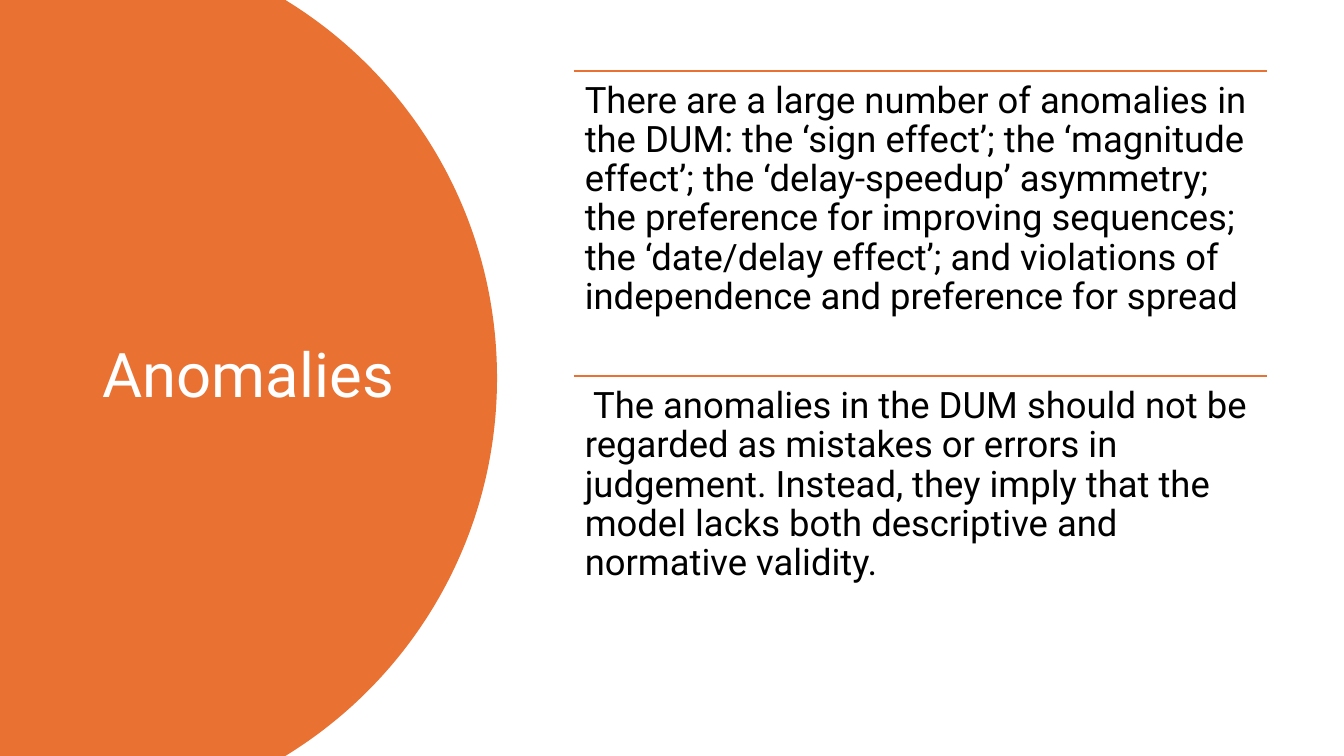
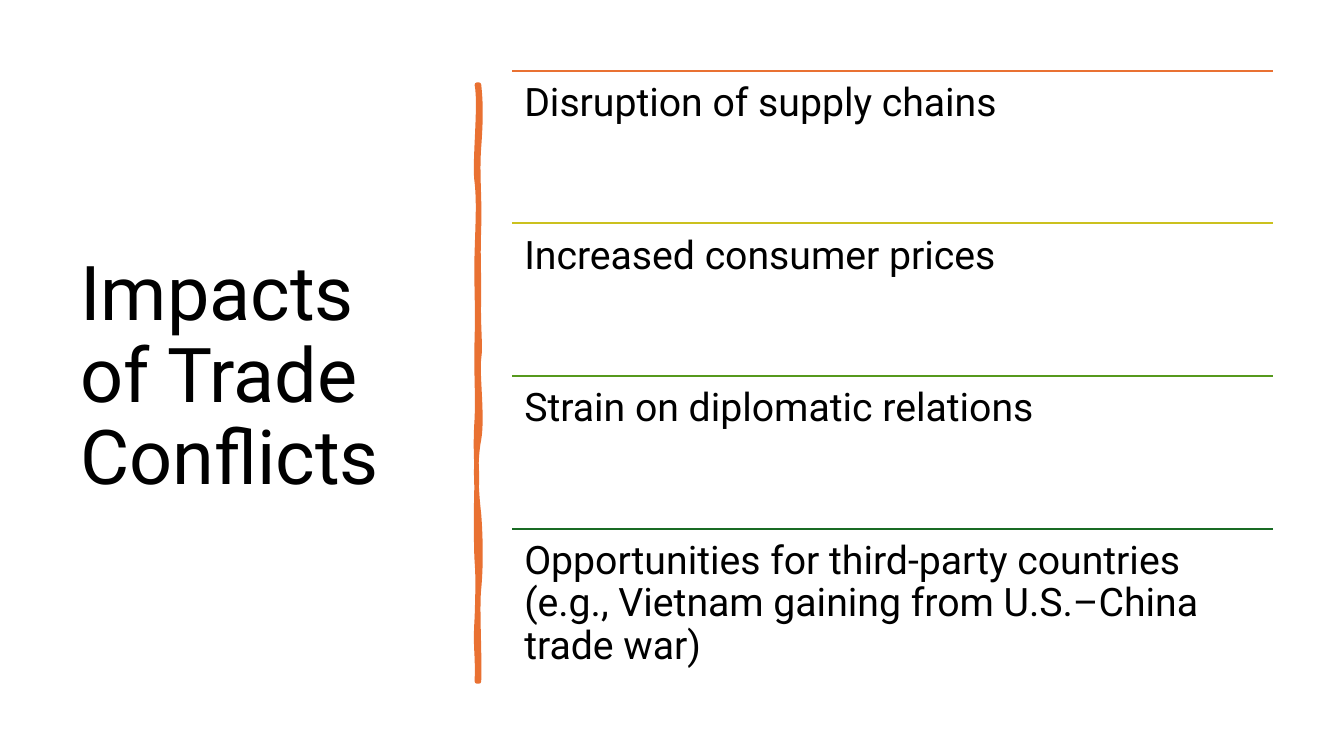
from lxml.etree import SubElement
from pptx import Presentation
from pptx.dml.color import RGBColor
from pptx.enum.shapes import MSO_CONNECTOR
from pptx.enum.text import MSO_ANCHOR
from pptx.oxml.ns import qn
from pptx.util import Inches, Pt

THEME = {
    "font": "Roboto",
    "orange": "E97132",
    "yellow": "CBC11E",
    "green": "56991D",
    "forest": "196B24",
    "black": "000000",
    "white": "FFFFFF",
    "rule_width": 1.5,
    "brush_width": 3.25,
    "line_spacing": 0.9,
}
SLIDE_SIZE = (13.33, 7.5)
ROWS_TOP, ROWS_HEIGHT = 0.7, 6.06

ANOMALIES = {
    "title": {"text": "Anomalies", "at": (0.92, 0.7, 3.23, 6.09), "size": 44, "color": "white"},
    "rows": {"left": 5.69, "width": 6.88, "size": 26, "inset": 0.11},
    "items": [
        ("orange", "There are a large number of anomalies in the DUM: the ‘sign effect’; "
                   "the ‘magnitude effect’; the ‘delay-speedup’ asymmetry; the preference for "
                   "improving sequences; the ‘date/delay effect’; and violations of "
                   "independence and preference for spread"),
        ("orange", " The anomalies in the DUM should not be regarded as mistakes or errors in "
                   "judgement. Instead, they imply that the model lacks both descriptive and "
                   "normative validity."),
    ],
}
IMPACTS = {
    "title": {"text": "Impacts of Trade Conflicts", "at": (0.7, 0.7, 3.74, 6.1),
              "size": 54, "color": "black"},
    "rows": {"left": 5.08, "width": 7.55, "size": 28, "inset": 0.12},
    "items": [
        ("orange", "Disruption of supply chains"),
        ("yellow", "Increased consumer prices"),
        ("green", "Strain on diplomatic relations"),
        ("forest", "Opportunities for third-party countries (e.g., Vietnam gaining from "
                   "U.S.–China trade war)"),
    ],
}

DISC_START = (0, 0)
DISC_SEGMENTS = [
    (2.83, 0),
    (4.09, 0.77, 4.93, 2.16, 4.93, 3.75),
    (4.93, 5.34, 4.09, 6.73, 2.83, 7.5),
    (0, 7.5),
]
BRUSH_START = (4.75, 0.84)
BRUSH_SEGMENTS = [
    (4.77, 1.02, 4.77, 1.19, 4.75, 1.46), (4.73, 1.73, 4.76, 1.95, 4.75, 2.26),
    (4.74, 2.57, 4.75, 2.62, 4.75, 2.94), (4.74, 3.25, 4.77, 3.42, 4.75, 3.56),
    (4.73, 3.7, 4.79, 4.14, 4.75, 4.36), (4.71, 4.57, 4.72, 4.84, 4.75, 5.1),
    (4.77, 5.36, 4.77, 5.64, 4.75, 5.84), (4.73, 6.03, 4.76, 6.5, 4.75, 6.76),
    (4.74, 6.76, 4.73, 6.76, 4.73, 6.76), (4.74, 6.46, 4.71, 6.44, 4.73, 6.13),
    (4.74, 5.83, 4.74, 5.7, 4.73, 5.57), (4.72, 5.44, 4.72, 4.95, 4.73, 4.77),
    (4.73, 4.59, 4.71, 4.45, 4.73, 4.15), (4.74, 3.86, 4.72, 3.73, 4.73, 3.35),
    (4.74, 2.98, 4.72, 2.81, 4.73, 2.5), (4.74, 2.18, 4.75, 2, 4.73, 1.81),
    (4.7, 1.63, 4.77, 1.04, 4.73, 0.84), (4.74, 0.84, 4.74, 0.84, 4.75, 0.84),
]


def color(name):
    return RGBColor.from_string(THEME[name])


def apply_format(target, values):
    for name, value in values.items():
        setattr(target, name, value)


def add_text(page, text, at, size, color_name, inset=None, anchor=MSO_ANCHOR.TOP):
    box = page.shapes.add_textbox(*map(Inches, at))
    frame = box.text_frame
    apply_format(frame, {"word_wrap": True, "vertical_anchor": anchor})
    if inset is not None:
        sides = ("left", "top", "right", "bottom")
        apply_format(frame, {f"margin_{side}": Inches(inset) for side in sides})
    para = frame.paragraphs[0]
    para.line_spacing = THEME["line_spacing"]
    span = para.add_run()
    span.text = text
    apply_format(span.font, {"name": THEME["font"], "size": Pt(size)})
    span.font.color.rgb = color(color_name)


def add_rule(page, left, top, width, color_name):
    rule = page.shapes.add_connector(
        MSO_CONNECTOR.STRAIGHT, Inches(left), Inches(top), Inches(left + width), Inches(top))
    rule.line.color.rgb = color(color_name)
    rule.line.width = Pt(THEME["rule_width"])
    SubElement(rule._element.spPr, qn("a:effectLst"))


def add_outline(page, start, segments):
    builder = page.shapes.build_freeform(*map(Inches, start))
    knots = [tuple(map(Inches, segment[-2:])) for segment in segments]
    builder.add_line_segments(knots, close=True)
    shape = builder.convert_to_shape()
    shape.shadow.inherit = False
    shape.fill.solid()
    shape.fill.fore_color.rgb = color("orange")
    edges = list(shape._element.iter(qn("a:lnTo")))
    for edge, segment in zip(edges, segments):
        if len(segment) == 6:
            bend_edge(edge, segment, shape.left, shape.top)
    return shape


def bend_edge(edge, curve, left, top):
    edge.tag = qn("a:cubicBezTo")
    for point in list(edge):
        edge.remove(point)
    for x, y in zip(curve[::2], curve[1::2]):
        SubElement(edge, qn("a:pt"), x=str(Inches(x) - left), y=str(Inches(y) - top))


def add_disc(page):
    disc = add_outline(page, DISC_START, DISC_SEGMENTS)
    disc.line.fill.background()


def add_brush(page):
    brush = add_outline(page, BRUSH_START, BRUSH_SEGMENTS)
    brush.line.color.rgb = color("orange")
    brush.line.width = Pt(THEME["brush_width"])
    SubElement(brush._element.spPr.find(qn("a:ln")), qn("a:round"))


def add_page(deck, content, add_decoration):
    page = deck.slides.add_slide(deck.slide_layouts[6])
    add_decoration(page)
    title, rows, items = content["title"], content["rows"], content["items"]
    add_text(page, title["text"], title["at"], title["size"], title["color"],
             anchor=MSO_ANCHOR.MIDDLE)
    height = ROWS_HEIGHT / len(items)
    for index, (rule_color, text) in enumerate(items):
        top = ROWS_TOP + index * height
        add_rule(page, rows["left"], top, rows["width"], rule_color)
        add_text(page, text, (rows["left"], top, rows["width"], height),
                 rows["size"], "black", rows["inset"])


def main():
    deck = Presentation()
    deck.slide_width, deck.slide_height = map(Inches, SLIDE_SIZE)
    add_page(deck, ANOMALIES, add_disc)
    add_page(deck, IMPACTS, add_brush)
    deck.save("out.pptx")


if __name__ == "__main__":
    main()
